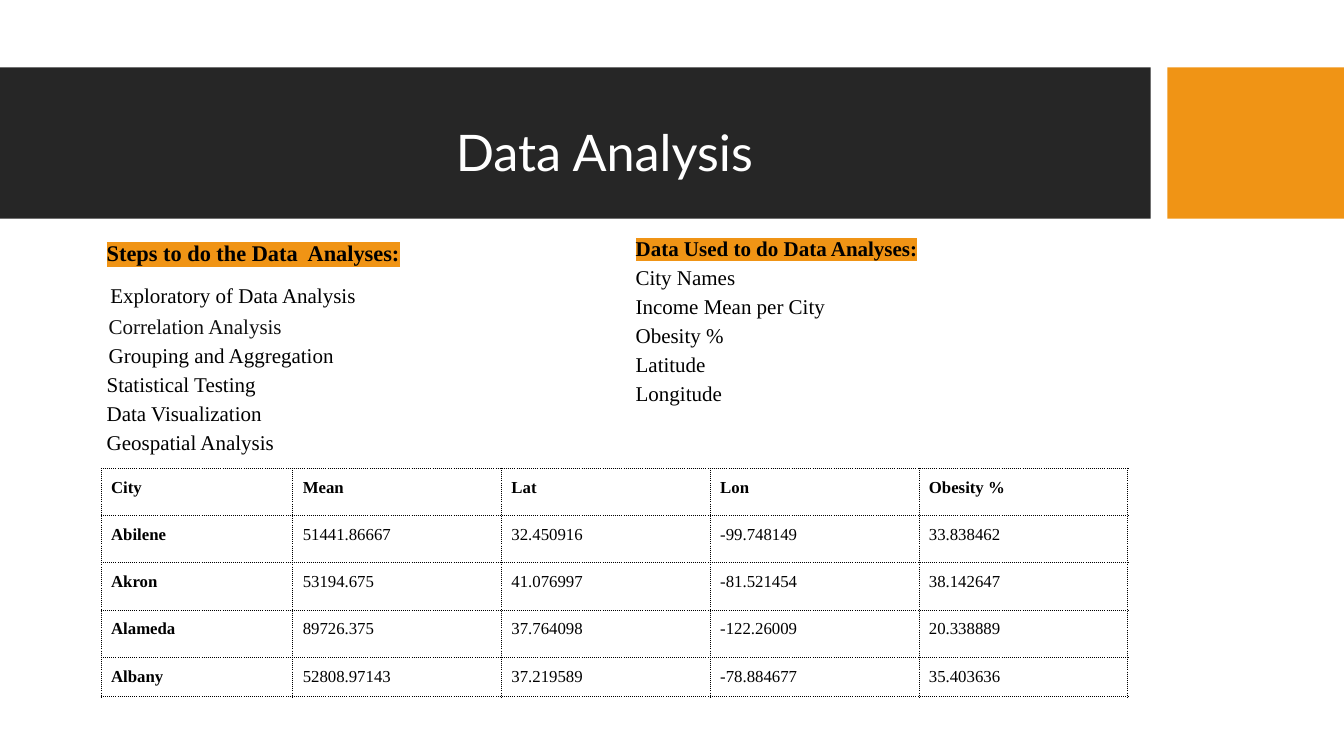
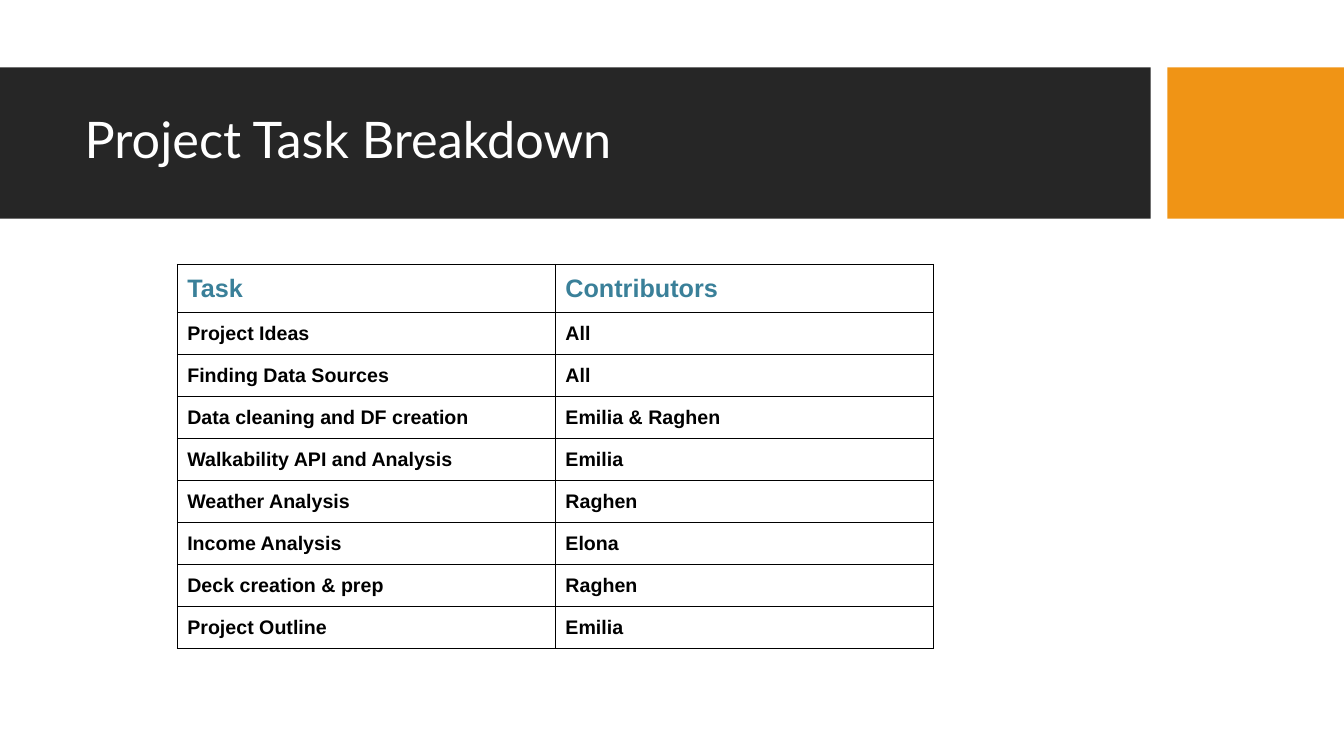
from dataclasses import dataclass
from typing import Any

from lxml import etree
from pptx import Presentation
from pptx.dml.color import RGBColor
from pptx.enum.shapes import MSO_SHAPE
from pptx.enum.text import MSO_ANCHOR, MSO_AUTO_SIZE, PP_ALIGN
from pptx.oxml.ns import qn
from pptx.util import Cm, Pt

DARK = RGBColor(0x26, 0x26, 0x26)
ORANGE = RGBColor(0xF0, 0x94, 0x15)
WHITE = RGBColor(0xFF, 0xFF, 0xFF)
BLACK = RGBColor(0x00, 0x00, 0x00)
INK = RGBColor(0x0F, 0x0F, 0x0F)
TEAL = RGBColor(0x3A, 0x80, 0x99)

RECT = MSO_SHAPE.RECTANGLE
TOP, MIDDLE = MSO_ANCHOR.TOP, MSO_ANCHOR.MIDDLE
LEFT, CENTER, JUSTIFY = PP_ALIGN.LEFT, PP_ALIGN.CENTER, PP_ALIGN.JUSTIFY
FIXED = MSO_AUTO_SIZE.NONE

SERIF, SANS, HEAD = "Times New Roman", "Arial", "Lato"
PAD = Cm(0.25)
PADS = {f"margin_{side}": PAD for side in ("left", "right", "top", "bottom")}
EDGES = ("a:lnL", "a:lnR", "a:lnT", "a:lnB")


@dataclass(frozen=True)
class Band:
    left: float
    width: float
    color: RGBColor


@dataclass(frozen=True)
class Style:
    face: str
    size: float
    bold: bool = False
    color: RGBColor = BLACK


@dataclass(frozen=True)
class Line:
    text: str
    style: Style
    align: Any = LEFT
    indent: float = 0
    before: float = 0
    after: float = 0
    marked: bool = False


@dataclass(frozen=True)
class Panel:
    left: float
    top: float
    width: float
    height: float
    inset: float
    anchor: Any
    lines: list[Line]


@dataclass(frozen=True)
class Grid:
    left: float
    top: float
    cols: list[float]
    heights: list[float]
    rows: list[list[str]]
    header: Style
    first: Style
    body: Style
    dash: str


BANDS = [Band(0, 29, DARK), Band(29.42, 4.45, ORANGE)]
TITLE = Style(HEAD, 36, color=WHITE)
ITEM = Style(SERIF, 15)
LABEL = Style(SERIF, 12, True)
TASK = Style(SANS, 14, True)

STEPS = Panel(1.17, 5.59, 10.57, 6.22, 1.52, MIDDLE, [
    Line("Steps to do the Data  Analyses:", Style(SERIF, 16, True), marked=True),
    Line("Exploratory of Data Analysis", ITEM, JUSTIFY, 0.09, 8.9, 1.7),
    Line("Correlation Analysis", Style(SERIF, 15, color=INK), JUSTIFY, 0.05),
    Line("Grouping and Aggregation", ITEM, JUSTIFY, 0.05),
    *(Line(text, ITEM, JUSTIFY) for text in (
        "Statistical Testing", "Data Visualization", "Geospatial Analysis")),
])

INPUTS = Panel(15.77, 5.59, 10.82, 5.46, 0.25, TOP, [
    Line("Data Used to do Data Analyses:", Style(SERIF, 15, True), marked=True),
    *(Line(text, ITEM) for text in (
        "City Names", "Income Mean per City", "Obesity %", "Latitude", "Longitude")),
])

CITIES = Grid(2.55, 11.8, [4.83] + [5.26] * 4, [1.19] * 4 + [0.99], [
    ["City", "Mean", "Lat", "Lon", "Obesity %"],
    ["Abilene", "51441.86667", "32.450916", "-99.748149", "33.838462"],
    ["Akron", "53194.675", "41.076997", "-81.521454", "38.142647"],
    ["Alameda", "89726.375", "37.764098", "-122.26009", "20.338889"],
    ["Albany", "52808.97143", "37.219589", "-78.884677", "35.403636"],
], LABEL, LABEL, Style(SERIF, 12), "dot")

TASKS = Grid(4.47, 6.66, [9.53] * 2, [1.21] + [1.06] * 8, [
    ["Task", "Contributors"],
    ["Project Ideas", "All"],
    ["Finding Data Sources", "All"],
    ["Data cleaning and DF creation", "Emilia & Raghen"],
    ["Walkability API and Analysis", "Emilia"],
    ["Weather Analysis", "Raghen"],
    ["Income Analysis", "Elona"],
    ["Deck creation & prep", "Raghen"],
    ["Project Outline", "Emilia"],
], Style(SANS, 18, True, TEAL), TASK, TASK, "solid")


def apply(target: Any, values: dict[str, Any]) -> None:
    for name, value in values.items():
        setattr(target, name, value)


def write(para: Any, text: str, style: Style) -> Any:
    run = para.add_run()
    run.text = text
    run.font.color.rgb = style.color
    apply(run.font, {"name": style.face, "size": Pt(style.size), "bold": style.bold})
    return run


def mark(run: Any) -> None:
    props = run._r.get_or_add_rPr()
    light = etree.Element(qn("a:highlight"))
    etree.SubElement(light, qn("a:srgbClr"), val=str(ORANGE))
    props.find(qn("a:solidFill")).addnext(light)


def border(cell: Any, dash: str) -> None:
    props = cell._tc.get_or_add_tcPr()
    for index, edge in enumerate(EDGES):
        line = etree.Element(qn(edge), w=str(Pt(0.75)))
        fill = etree.SubElement(line, qn("a:solidFill"))
        etree.SubElement(fill, qn("a:srgbClr"), val=str(BLACK))
        etree.SubElement(line, qn("a:prstDash"), val=dash)
        props.insert(index, line)


def start(deck: Any, text: str, top: float, align: Any) -> Any:
    slide = deck.slides.add_slide(deck.slide_layouts[5])
    title = slide.shapes.title
    for band in BANDS:
        shape = slide.shapes.add_shape(
            RECT, Cm(band.left), Cm(1.7), Cm(band.width), Cm(3.81))
        shape.shadow.inherit = False
        shape.fill.solid()
        shape.fill.fore_color.rgb = band.color
        shape.line.fill.background()
        title.element.addprevious(shape.element)
    apply(title, {"left": Cm(1.88), "top": Cm(top), "width": Cm(26.7), "height": Cm(3)})
    apply(title.text_frame, {
        "auto_size": FIXED, "word_wrap": True, "vertical_anchor": MIDDLE})
    para = title.text_frame.paragraphs[0]
    apply(para, {"alignment": align, "line_spacing": 0.9})
    write(para, text, TITLE)
    return slide


def draw_panel(slide: Any, panel: Panel) -> None:
    box = slide.shapes.add_textbox(
        Cm(panel.left), Cm(panel.top), Cm(panel.width), Cm(panel.height))
    frame = box.text_frame
    apply(frame, {**PADS, "margin_left": Cm(panel.inset), "word_wrap": True,
                  "auto_size": FIXED, "vertical_anchor": panel.anchor})
    for index, line in enumerate(panel.lines):
        para = frame.add_paragraph() if index else frame.paragraphs[0]
        apply(para, {"alignment": line.align, "line_spacing": 1.15,
                     "space_before": Pt(line.before), "space_after": Pt(line.after)})
        para._p.get_or_add_pPr().set("marL", str(Cm(line.indent)))
        run = write(para, line.text, line.style)
        if line.marked:
            mark(run)


def draw_grid(slide: Any, grid: Grid) -> None:
    table = slide.shapes.add_table(
        len(grid.rows), len(grid.cols), Cm(grid.left), Cm(grid.top),
        Cm(sum(grid.cols)), Cm(sum(grid.heights))).table
    apply(table, {"first_row": False, "horz_banding": False})
    for column, width in zip(table.columns, grid.cols):
        column.width = Cm(width)
    for row, height in zip(table.rows, grid.heights):
        row.height = Cm(height)
    for y, texts in enumerate(grid.rows):
        for x, text in enumerate(texts):
            cell = table.cell(y, x)
            apply(cell, {**PADS, "vertical_anchor": TOP})
            cell.fill.background()
            border(cell, grid.dash)
            style = grid.body if x else grid.first
            write(cell.text_frame.paragraphs[0], text, style if y else grid.header)


def main() -> None:
    deck = Presentation()
    apply(deck, {"slide_width": Cm(33.87), "slide_height": Cm(19.05)})
    data = start(deck, "Data Analysis", 2.41, CENTER)
    draw_panel(data, STEPS)
    draw_grid(data, CITIES)
    draw_panel(data, INPUTS)
    work = start(deck, "Project Task Breakdown", 2.08, LEFT)
    draw_grid(work, TASKS)
    deck.save("out.pptx")


if __name__ == "__main__":
    main()
